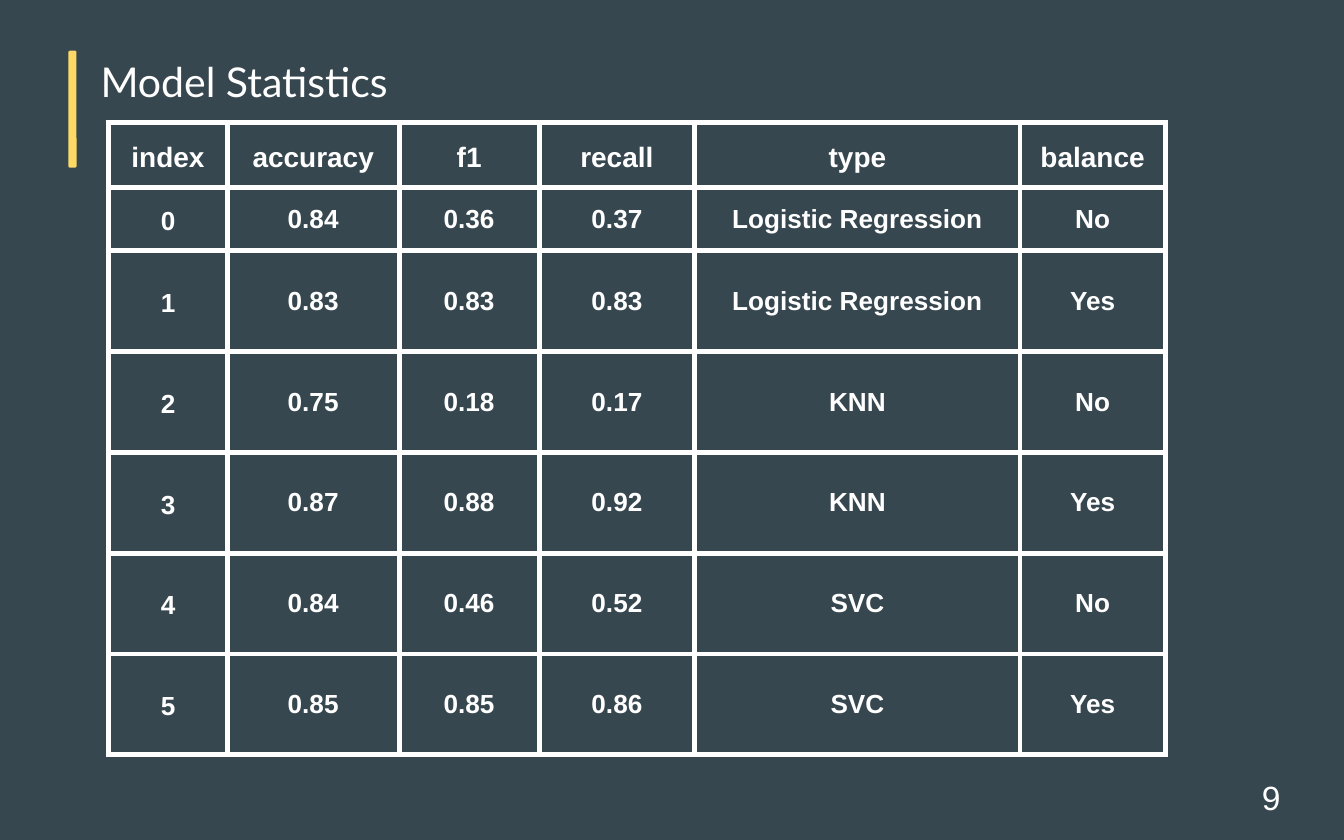
from lxml import etree
from pptx import Presentation
from pptx.dml.color import RGBColor
from pptx.enum.shapes import MSO_SHAPE as SHAPE
from pptx.enum.text import MSO_ANCHOR as ANCHOR, PP_ALIGN as ALIGN
from pptx.oxml.ns import qn
from pptx.util import Pt

SLATE = RGBColor(0x37, 0x47, 0x4F)
YELLOW = RGBColor(0xFF, 0xD9, 0x66)
WHITE = RGBColor(0xFF, 0xFF, 0xFF)

INSET = 7.2
BORDER = 3
COL_WIDTHS = [63.4, 92.2, 74.9, 83.5, 174.2, 77.8]
ROW_HEIGHTS = [25.2, 31] + [54] * 5
STATS = [
    ("index", "accuracy", "f1", "recall", "type", "balance"),
    ("0", "0.84", "0.36", "0.37", "Logistic Regression", "No"),
    ("1", "0.83", "0.83", "0.83", "Logistic Regression", "Yes"),
    ("2", "0.75", "0.18", "0.17", "KNN", "No"),
    ("3", "0.87", "0.88", "0.92", "KNN", "Yes"),
    ("4", "0.84", "0.46", "0.52", "SVC", "No"),
    ("5", "0.85", "0.85", "0.86", "SVC", "Yes"),
]


def style_font(font, size, name="Arial", bold=False):
    font.size, font.name, font.bold = Pt(size), name, bold
    font.color.rgb = WHITE


def add_text(s, x, y, w, h, text, size, name, anchor, pad_y):
    tf = s.shapes.add_textbox(Pt(x), Pt(y), Pt(w), Pt(h)).text_frame
    tf.word_wrap = True
    tf.vertical_anchor = anchor
    tf.margin_left = tf.margin_right = Pt(INSET)
    tf.margin_top = tf.margin_bottom = Pt(pad_y)
    tf.text = text
    style_font(tf.paragraphs[0].runs[0].font, size, name)


def add_heading(s, x, y, w, h):
    # Accent bar at the left edge, title beside it
    bar = s.shapes.add_shape(SHAPE.ROUNDED_RECTANGLE, Pt(x), Pt(y + 0.5), Pt(4.3), Pt(h))
    bar.adjustments[0] = 0.167
    bar.shadow.inherit = False
    bar.fill.solid()
    bar.fill.fore_color.rgb = YELLOW
    bar.line.fill.background()
    add_text(s, x + 10.1, y, w - 10.1, 57.6, "Model Statistics", 22, "Lato",
             ANCHOR.TOP, 3.6)


def set_borders(cell):
    tc_pr = cell._tc.get_or_add_tcPr()
    for i, side in enumerate(("lnL", "lnR", "lnT", "lnB")):
        ln = etree.Element(qn(f"a:{side}"), w=str(Pt(BORDER)))
        fill = etree.SubElement(ln, qn("a:solidFill"))
        etree.SubElement(fill, qn("a:srgbClr"), val=str(WHITE))
        tc_pr.insert(i, ln)


def add_stats_table(s, x, y):
    frame = s.shapes.add_table(len(STATS), len(COL_WIDTHS), Pt(x), Pt(y),
                               Pt(sum(COL_WIDTHS)), Pt(sum(ROW_HEIGHTS)))
    table = frame.table
    table.first_row = table.horz_banding = False
    for col, width in zip(table.columns, COL_WIDTHS):
        col.width = Pt(width)
    for r, (row, height) in enumerate(zip(STATS, ROW_HEIGHTS)):
        table.rows[r].height = Pt(height)
        for c, value in enumerate(row):
            cell = table.cell(r, c)
            cell.fill.background()
            set_borders(cell)
            cell.vertical_anchor = ANCHOR.MIDDLE
            cell.margin_left = cell.margin_right = Pt(INSET)
            cell.margin_top = cell.margin_bottom = Pt(INSET)
            p = cell.text_frame.paragraphs[0]
            p.text = value
            p.alignment = ALIGN.CENTER
            # Header row and index column are set with looser lines
            if r == 0 or c == 0:
                p.line_spacing = 1.15
            style_font(p.runs[0].font, 15 if r == 0 else 14, bold=True)


def main():
    prs = Presentation()
    prs.slide_width, prs.slide_height = Pt(720), Pt(450)
    s = prs.slides.add_slide(prs.slide_layouts[6])
    s.background.fill.solid()
    s.background.fill.fore_color.rgb = SLATE

    add_heading(s, 36.7, 26.7, 362.2, 62.6)
    add_stats_table(s, 58.3, 65.5)
    # Page number
    add_text(s, 668.9, 409.7, 43.2, 34.6, "9", 18, "Arial", ANCHOR.MIDDLE, INSET)

    prs.save("out.pptx")


if __name__ == "__main__":
    main()
